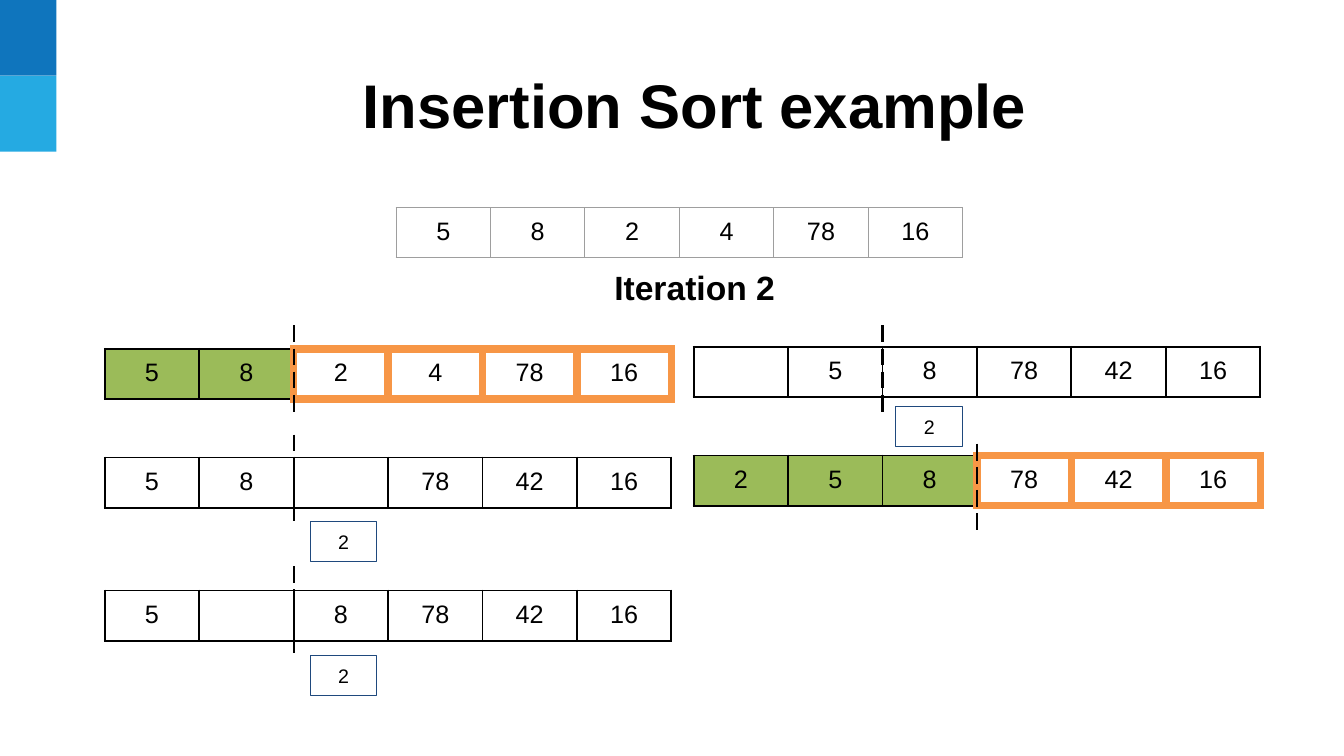
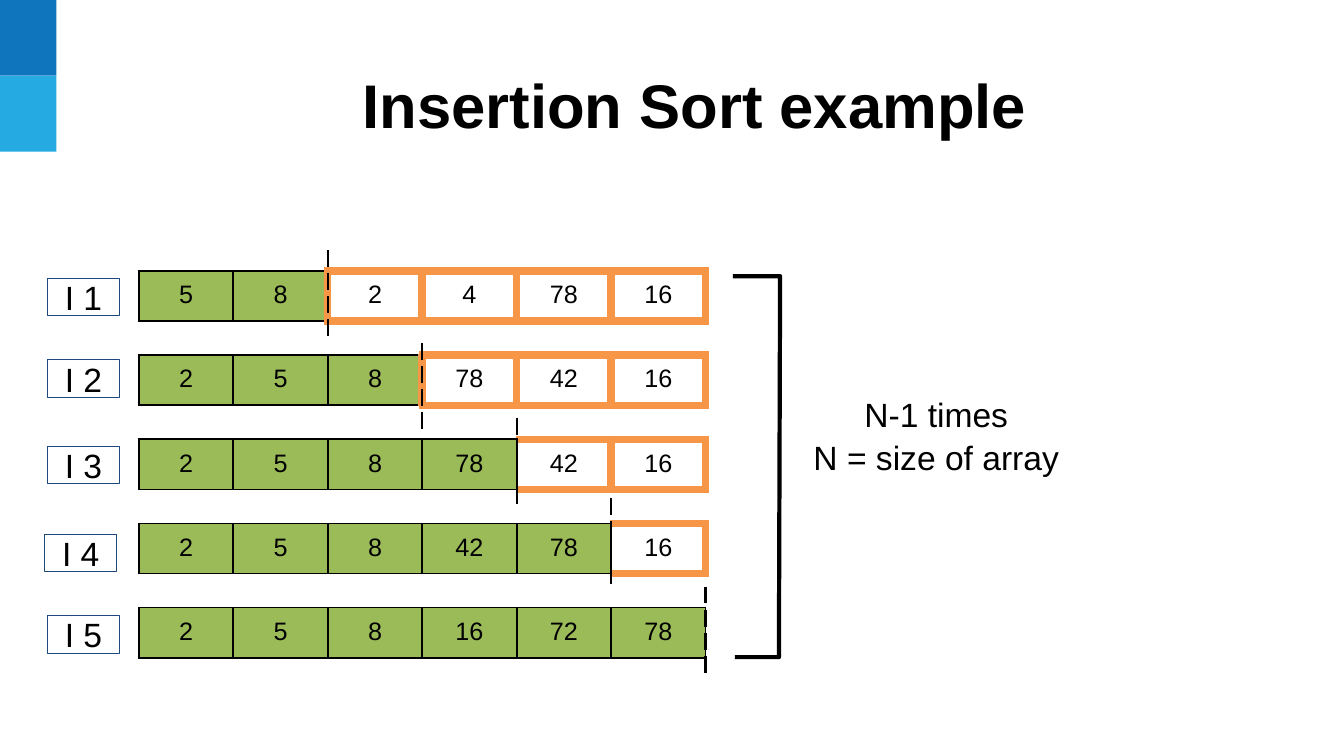
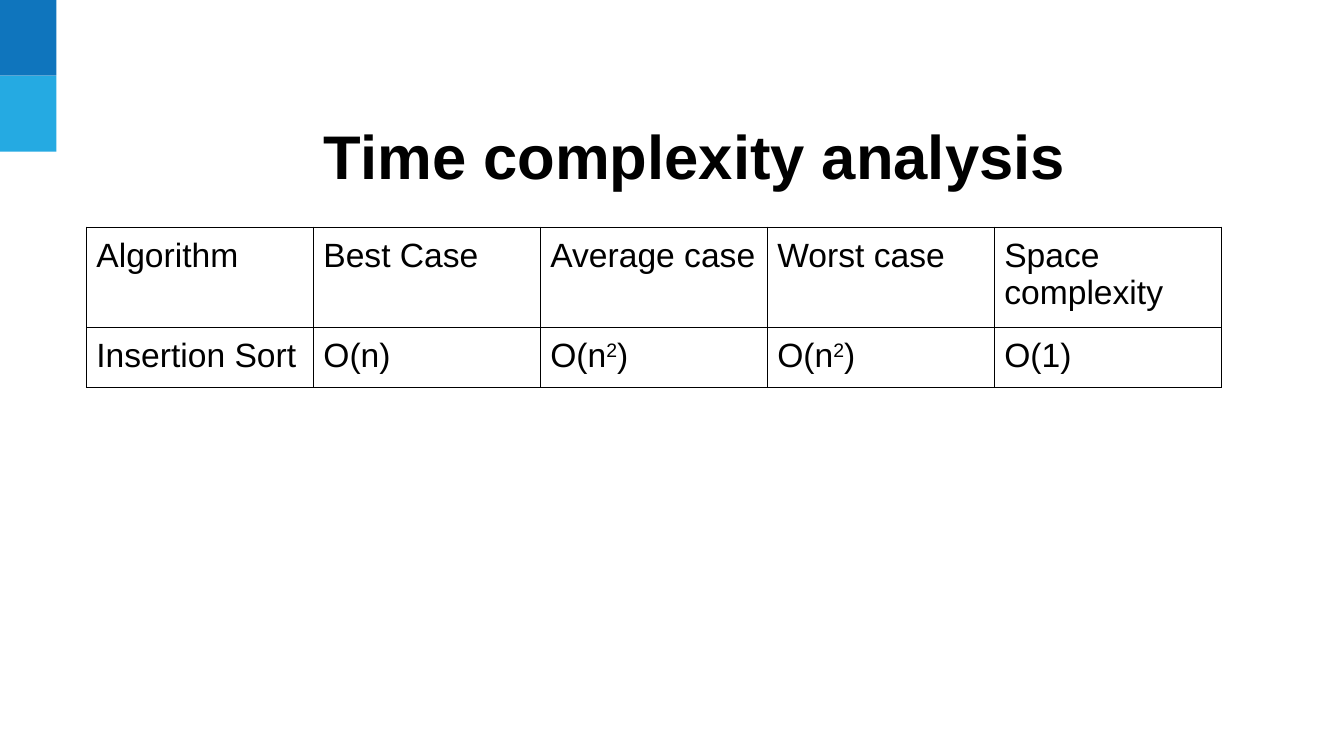
from lxml import etree
from pptx import Presentation
from pptx.dml.color import RGBColor
from pptx.enum import dml, shapes, text
from pptx.oxml import ns
from pptx.util import Cm, Pt

BLACK = RGBColor(0x00, 0x00, 0x00)
WHITE = RGBColor(0xFF, 0xFF, 0xFF)
BLUE = RGBColor(0x0F, 0x75, 0xBD)
SKY = RGBColor(0x25, 0xAA, 0xE2)
NAVY = RGBColor(0x1F, 0x49, 0x7D)
GREEN = RGBColor(0x9B, 0xBB, 0x59)
ORANGE = RGBColor(0xF7, 0x96, 0x46)
GREY = RGBColor(0x9E, 0x9E, 0x9E)

THIN = (BLACK, 0.75)
MEDIUM = (BLACK, 1.5)
THICK = (ORANGE, 6)
FAINT = (GREY, 0.75)

CELL = 2.38
ROW = 1.07
INSET = 0.25
DIVIDER = 2.3


class Deck:
    font = "Arial"

    def __init__(self):
        self.deck = Presentation()
        self.deck.slide_width = Cm(33.87)
        self.deck.slide_height = Cm(19.05)
        self.page = None

    def new_page(self, title, top=1.47):
        self.page = self.deck.slides.add_slide(self.deck.slide_layouts[6])
        for row, color in enumerate((BLUE, SKY)):
            self.box(0, row * 1.91, 1.42, 1.91, color)
        self.label(6.4, top, 22.23, 2.29, title, 44, text.MSO_ANCHOR.MIDDLE)

    def set_text(self, frame, words, size, bold=False, align=text.PP_ALIGN.CENTER, spacing=None):
        frame.text = words
        for para in frame.paragraphs:
            para.alignment = align
            para.line_spacing = spacing
            para.font.name = self.font
            para.font.size = Pt(size)
            para.font.bold = bold
            para.font.color.rgb = BLACK

    def set_insets(self, holder):
        holder.margin_left = holder.margin_right = Cm(INSET)
        holder.margin_top = holder.margin_bottom = Cm(INSET)

    def label(self, left, top, width, height, words, size, anchor):
        frame = self.page.shapes.add_textbox(Cm(left), Cm(top), Cm(width), Cm(height)).text_frame
        frame.word_wrap = True
        frame.vertical_anchor = anchor
        self.set_insets(frame)
        self.set_text(frame, words, size, bold=True)

    def box(self, left, top, width, height, fill, outline=None, words="", size=14, spacing=None):
        shape = self.page.shapes.add_shape(
            shapes.MSO_SHAPE.RECTANGLE, Cm(left), Cm(top), Cm(width), Cm(height))
        shape.shadow.inherit = False
        shape.fill.solid()
        shape.fill.fore_color.rgb = fill
        if outline:
            shape.line.color.rgb = outline
            shape.line.width = Pt(0.75)
        else:
            shape.line.fill.background()
        if words:
            frame = shape.text_frame
            frame.word_wrap = True
            frame.vertical_anchor = text.MSO_ANCHOR.MIDDLE
            self.set_insets(frame)
            self.set_text(frame, words, size, spacing=spacing)

    def held_value(self, left, top, value):
        self.box(left, top, 1.68, 1.02, WHITE, NAVY, value)

    def grid(self, left, top, rows, columns, width):
        table = self.page.shapes.add_table(
            rows, columns, Cm(left), Cm(top), Cm(width * columns), Cm(ROW * rows)).table
        table.first_row = False
        table.horz_banding = False
        for column in table.columns:
            column.width = Cm(width)
        return table

    def style_cell(self, cell, fill, left, right, top, bottom):
        self.set_insets(cell)
        properties = cell._tc.get_or_add_tcPr()
        for side, (color, points) in zip("LRTB", (left, right, top, bottom)):
            line = etree.SubElement(properties, ns.qn("a:ln" + side), w=str(Pt(points)))
            solid = etree.SubElement(line, ns.qn("a:solidFill"))
            etree.SubElement(solid, ns.qn("a:srgbClr"), val=str(color))
        cell.fill.solid()
        cell.fill.fore_color.rgb = fill

    def array(self, left, top, values, done=0, rest=MEDIUM, split=None):
        count = len(values)
        edges = [MEDIUM] * done + [split or rest] + [rest] * (count - done)
        table = self.grid(left, top, 1, count, CELL)
        for index, value in enumerate(values):
            cell = table.cell(0, index)
            fill, pen = (GREEN, MEDIUM) if index < done else (WHITE, rest)
            self.style_cell(cell, fill, edges[index], edges[index + 1], pen, pen)
            self.set_text(cell.text_frame, value, 18)

    def divider(self, left, top):
        line = self.page.shapes.add_connector(
            shapes.MSO_CONNECTOR.STRAIGHT, Cm(left), Cm(top), Cm(left), Cm(top + DIVIDER))
        line.line.color.rgb = BLACK
        line.line.width = Pt(1.5)
        line.line.dash_style = dml.MSO_LINE.LONG_DASH
        etree.SubElement(line._element.spPr, ns.qn("a:effectLst"))

    def bracket(self, points):
        corners = [(Cm(x), Cm(y)) for x, y in points]
        builder = self.page.shapes.build_freeform(*corners[0])
        builder.add_line_segments(corners[1:], close=False)
        shape = builder.convert_to_shape()
        shape.shadow.inherit = False
        shape.fill.background()
        shape.line.color.rgb = BLACK
        shape.line.width = Pt(3)

    def text_table(self, left, top, rows, width):
        table = self.grid(left, top, len(rows), len(rows[0]), width)
        for row, values in enumerate(rows):
            for column, value in enumerate(values):
                cell = table.cell(row, column)
                self.style_cell(cell, WHITE, THIN, THIN, THIN, THIN)
                before, mark, after = value.partition("^2")
                self.set_text(cell.text_frame, before, 24, align=text.PP_ALIGN.LEFT)
                if mark:
                    para = cell.text_frame.paragraphs[0]
                    power = para.add_run()
                    power.text = "2"
                    power._r.get_or_add_rPr().set("baseline", "30000")
                    para.add_run().text = after


def iteration_page(deck):
    deck.new_page("Insertion Sort example")
    deck.label(10.52, 6.48, 13.97, 1.55, "Iteration 2", 24, text.MSO_ANCHOR.TOP)
    deck.array(9.98, 5.23, ["5", "8", "2", "4", "78", "16"], rest=FAINT)
    first, second = 2.64, 17.48
    steps = [
        (first, 8.79, ["5", "8", "2", "4", "78", "16"], 2, 2, 8.2),
        (first, 11.53, ["5", "8", "", "78", "42", "16"], 0, 2, 10.95),
        (first, 14.88, ["5", "", "8", "78", "42", "16"], 0, 2, 14.27),
        (second, 8.74, ["", "5", "8", "78", "42", "16"], 0, 2, 8.2),
        (second, 11.48, ["2", "5", "8", "78", "42", "16"], 3, 3, 11.18),
    ]
    for left, top, values, done, cut, cut_top in steps:
        deck.array(left, top, values, done, THICK if done else MEDIUM)
        deck.divider(left + cut * CELL, cut_top)
    for left, top in ((7.82, 13.13), (7.82, 16.51), (22.58, 10.24)):
        deck.held_value(left, top, "2")


def summary_page(deck):
    deck.new_page("Insertion Sort example")
    left = 3.5
    passes = [
        (["5", "8", "2", "4", "78", "16"], THICK, 6.3, 1.19, 7.01),
        (["2", "5", "8", "78", "42", "16"], THICK, 8.64, 1.19, 9.07),
        (["2", "5", "8", "78", "42", "16"], MEDIUM, 10.54, 1.19, 11.25),
        (["2", "5", "8", "42", "78", "16"], MEDIUM, 12.55, 1.12, 13.46),
        (["2", "5", "8", "16", "72", "78"], MEDIUM, 14.78, 1.19, 15.52),
    ]
    for index, (values, split, cut_top, label_left, label_top) in enumerate(passes):
        done = index + 2
        deck.array(left, 6.83 + index * 2.12, values, done, THICK, split)
        deck.divider(left + done * CELL, cut_top)
        deck.box(label_left, label_top, 1.83, 0.94, WHITE, NAVY, f"I {index + 1}", 24)
    deck.bracket([(18.47, 6.96), (19.66, 6.96), (19.63, 16.56), (18.52, 16.56)])
    deck.box(19.99, 8.97, 7.21, 3.96, WHITE, WHITE, "N-1 times\nN = size of array", 24, 1.07)


def complexity_page(deck):
    deck.new_page("Time complexity analysis", 2.77)
    deck.text_table(2.18, 5.72, [
        ["Algorithm", "Best Case", "Average case", "Worst case", "Space complexity"],
        ["Insertion Sort", "O(n)", "O(n^2)", "O(n^2)", "O(1)"],
    ], 5.72)


def main():
    deck = Deck()
    iteration_page(deck)
    summary_page(deck)
    complexity_page(deck)
    deck.deck.save("out.pptx")


if __name__ == "__main__":
    main()
